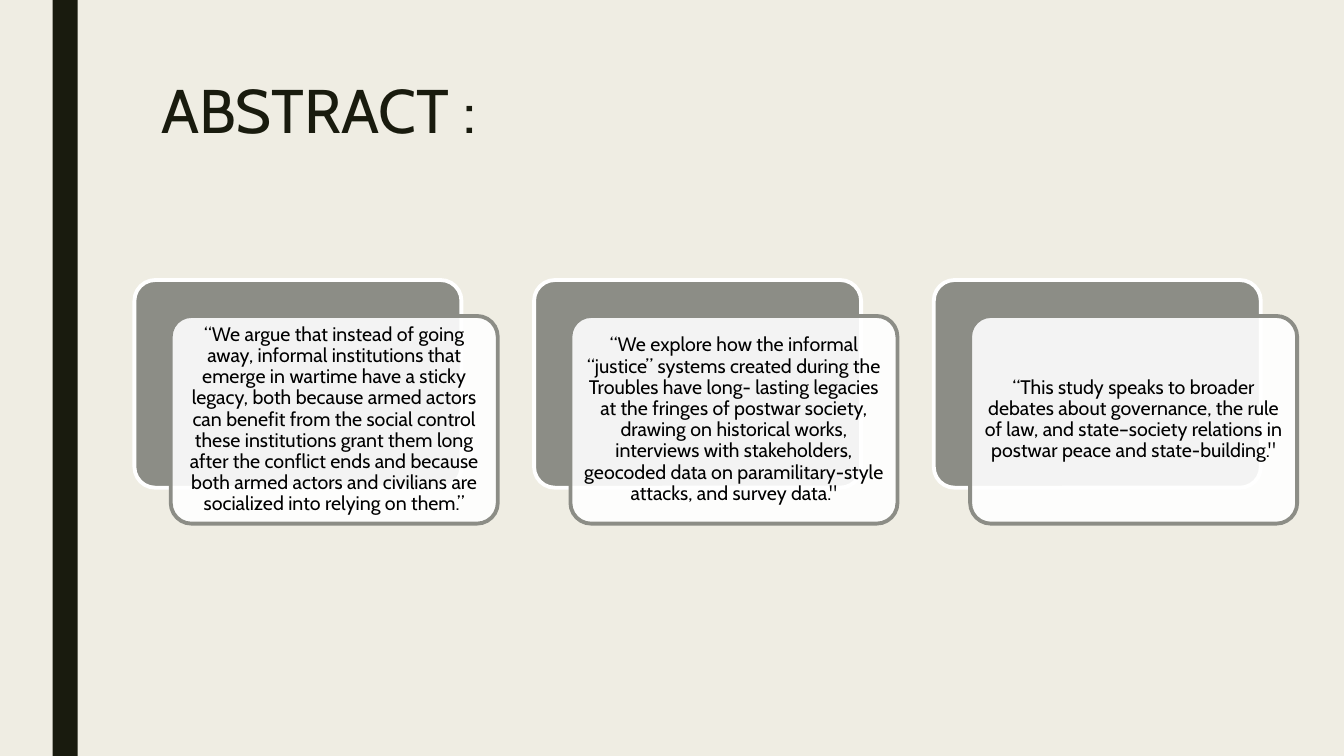
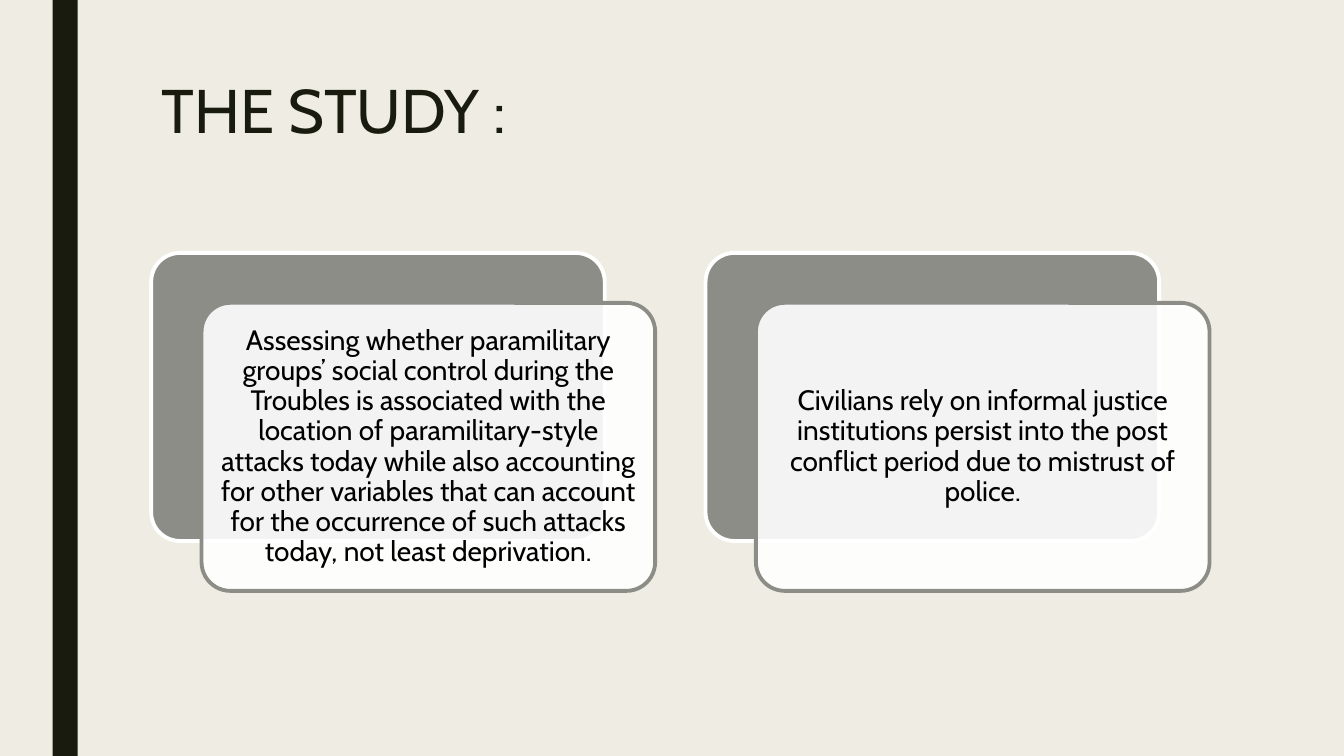
import pptx
import pptx.dml.color
import pptx.enum.shapes
import pptx.enum.text
import pptx.util
from lxml import etree
import pptx.oxml.ns

Pt = pptx.util.Pt
RGBColor = pptx.dml.color.RGBColor
Align = pptx.enum.text.PP_ALIGN
Anchor = pptx.enum.text.MSO_ANCHOR
Preset = pptx.enum.shapes.MSO_SHAPE

# Content
SLIDES = [
    {
        "title": "ABSTRACT :",
        "left": 96, "top": 200, "pitch": 285.5, "text_size": 14,
        "cards": [
            "“We argue that instead of going away, informal institutions that "
            "emerge in wartime have a sticky legacy, both because armed actors "
            "can benefit from the social control these institutions grant them "
            "long after the conflict ends and because both armed actors and "
            "civilians are socialized into relying on them.”",
            "“We explore how the informal “justice” systems created during the "
            "Troubles have long- lasting legacies at the fringes of postwar "
            "society, drawing on historical works, interviews with "
            "stakeholders, geocoded data on paramilitary-style attacks, and "
            "survey data.\"",
            "“This study speaks to broader debates about governance, the rule "
            "of law, and state–society relations in postwar peace and "
            "state-building.\"",
        ],
    },
    {
        "title": "THE STUDY :",
        "left": 108, "top": 180.7, "pitch": 396, "text_size": 20,
        "cards": [
            "Assessing whether paramilitary groups’ social control during the "
            "Troubles is associated with the location of paramilitary-style "
            "attacks today while also accounting for other variables that can "
            "account for the occurrence of such attacks today, not least "
            "deprivation.",
            "Civilians rely on informal justice institutions persist into the "
            "post conflict period due to mistrust of police.",
        ],
    },
]

# Shared look
PAPER = RGBColor(0xEF, 0xED, 0xE3)
INK = RGBColor(0x19, 0x1B, 0x0E)
GREY = RGBColor(0x8C, 0x8D, 0x86)
WHITE = RGBColor(0xFF, 0xFF, 0xFF)
BLACK = RGBColor(0x00, 0x00, 0x00)
FONT = "Cabin"
SLIDE_W, SLIDE_H = 960, 540
BAND = (37.5, 0, 18, SLIDE_H)
TITLE_BOX = {"left": 108, "top": 54, "width": 756, "height": 117}
TITLE_FRAME = {"vertical_anchor": Anchor.TOP, "word_wrap": True,
               "auto_size": pptx.enum.text.MSO_AUTO_SIZE.NONE}

# Card proportions: width as a share of the pitch, the rest as shares of width
CARD_WIDTH = 9 / 11
CARD_HEIGHT = 0.635
SHIFT_X, SHIFT_Y = 1 / 9, 0.11
CORNER = 0.1
INSET = 0.02


def set_all(target, values):
    for name, value in values.items():
        setattr(target, name, value)


def write(frame, text, size, color, align, spacing):
    frame.text = text
    paragraph = frame.paragraphs[0]
    set_all(paragraph, {"alignment": align, "line_spacing": spacing})
    font = paragraph.runs[0].font
    set_all(font, {"name": FONT, "size": Pt(size)})
    font.color.rgb = color


def add_block(slide, preset, box, fill, line=None):
    block = slide.shapes.add_shape(preset, *(Pt(length) for length in box))
    block.shadow.inherit = False
    block.fill.solid()
    block.fill.fore_color.rgb = fill
    if line is None:
        block.line.fill.background()
    else:
        block.line.color.rgb = line
        block.line.width = Pt(2.75)
    return block


def set_opacity(block, percent):
    color = block.fill._xPr.find(".//" + pptx.oxml.ns.qn("a:srgbClr"))
    alpha = etree.SubElement(color, pptx.oxml.ns.qn("a:alpha"))
    alpha.set("val", str(percent * 1000))


def add_card(slide, left, top, width, text, size):
    height = width * CARD_HEIGHT
    back = add_block(slide, Preset.ROUNDED_RECTANGLE,
                     (left, top, width, height), GREY, WHITE)
    front = add_block(slide, Preset.ROUNDED_RECTANGLE,
                      (left + width * SHIFT_X, top + width * SHIFT_Y,
                       width, height), WHITE, GREY)
    for block in (back, front):
        block.adjustments[0] = CORNER
    set_opacity(front, 90)
    inset = Pt(width * INSET)
    frame = front.text_frame
    set_all(frame, {"word_wrap": True, "vertical_anchor": Anchor.MIDDLE,
                    "margin_left": inset, "margin_right": inset,
                    "margin_top": inset, "margin_bottom": inset})
    write(frame, text, size, BLACK, Align.CENTER, 0.9)


def prepare_layout(deck):
    background = deck.slide_master.background.fill
    background.solid()
    background.fore_color.rgb = PAPER
    layout = deck.slide_layouts.get_by_name("Title Only")
    title = layout.placeholders[0]
    set_all(title, {side: Pt(length) for side, length in TITLE_BOX.items()})
    set_all(title.text_frame, TITLE_FRAME)
    return layout


def main():
    deck = pptx.Presentation()
    set_all(deck, {"slide_width": Pt(SLIDE_W), "slide_height": Pt(SLIDE_H)})
    layout = prepare_layout(deck)

    for number, content in enumerate(SLIDES):
        slide = deck.slides.add_slide(layout)
        if number == 0:
            # The side band moves to the layout, so every slide shows it
            band = add_block(slide, Preset.RECTANGLE, BAND, INK)
            layout.shapes.element.insert(2, band.element)
        write(slide.shapes.title.text_frame, content["title"], 44, INK,
              Align.LEFT, 0.89)
        for column, text in enumerate(content["cards"]):
            add_card(slide, content["left"] + column * content["pitch"],
                     content["top"], content["pitch"] * CARD_WIDTH,
                     text, content["text_size"])

    deck.save("out.pptx")


if __name__ == "__main__":
    main()
